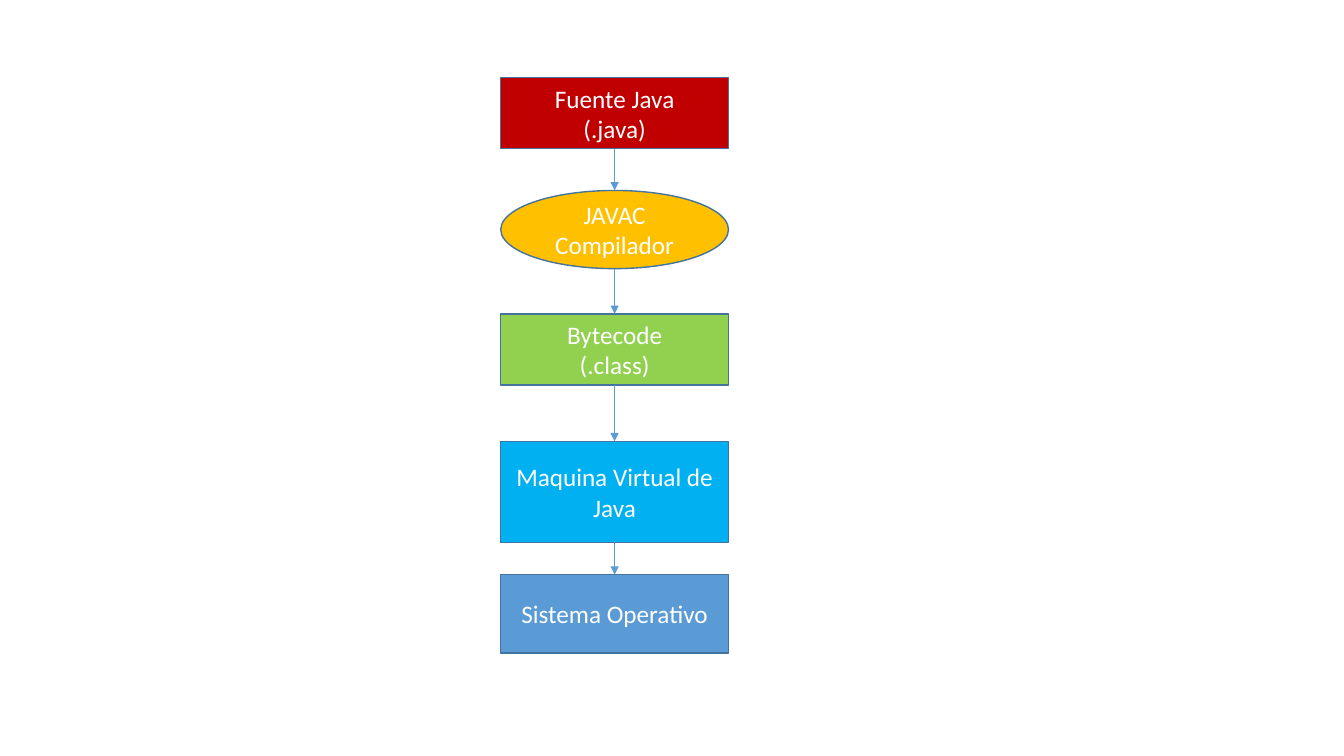
"""Draws the path of a Java program from source to operating system."""
from pptx import Presentation
from pptx import util as u
from pptx.dml.color import RGBColor
from pptx.enum import shapes, text
from pptx.oxml.ns import qn
from lxml import etree

RECT, OVAL = shapes.MSO_SHAPE.RECTANGLE, shapes.MSO_SHAPE.OVAL
LEFT, WIDTH = 12.62, 5.74
EDGE, ARROW = "43739E", "5B9BD5"
STEPS = [
    (RECT, "Fuente Java\n(.java)", "C00000", 1.96, 1.79),
    (OVAL, "JAVAC\nCompilador", "FFC000", 4.8, 1.97),
    (RECT, "Bytecode\n(.class)", "92D050", 7.91, 1.79),
    (RECT, "Maquina Virtual de Java", "00B0F0", 11.12, 2.55),
    (RECT, "Sistema Operativo", "5B9BD5", 14.48, 1.98),
]


def tint(hue):
    return RGBColor.from_string(hue)


def write(shape, words, size=18, font="Calibri", color="FFFFFF"):
    frame = shape.text_frame
    frame.word_wrap = True
    frame.vertical_anchor = text.MSO_ANCHOR.MIDDLE
    frame.text = words
    for para in frame.paragraphs:
        para.alignment = text.PP_ALIGN.CENTER
        for run in para.runs:
            run.font.size = u.Pt(size)
            run.font.name = font
            run.font.color.rgb = tint(color)


def box(kind, words, fill, top, high):
    shape = slide.shapes.add_shape(kind, u.Cm(LEFT), u.Cm(top), u.Cm(WIDTH), u.Cm(high))
    shape.shadow.inherit = False
    shape.fill.solid()
    shape.fill.fore_color.rgb = tint(fill)
    shape.line.color.rgb = tint(EDGE)
    shape.line.width = u.Pt(1)
    write(shape, words)


def link(start, end):
    mid = u.Cm(LEFT + WIDTH / 2)
    line = slide.shapes.add_connector(
        shapes.MSO_CONNECTOR.STRAIGHT, mid, u.Cm(start), mid, u.Cm(end))
    line.line.color.rgb = tint(ARROW)
    line.line.width = u.Pt(0.5)
    etree.SubElement(line.line._get_or_add_ln(), qn("a:tailEnd"), type="triangle")
    etree.SubElement(line._element.spPr, qn("a:effectLst"))


deck = Presentation()
deck.slide_width, deck.slide_height = u.Cm(33.87), u.Cm(19.05)
slide = deck.slides.add_slide(deck.slide_layouts[6])

for step in STEPS:
    box(*step)
for (*_, top, high), (*_, goal, _) in zip(STEPS, STEPS[1:]):
    link(top + high, goal)

deck.save("out.pptx")
